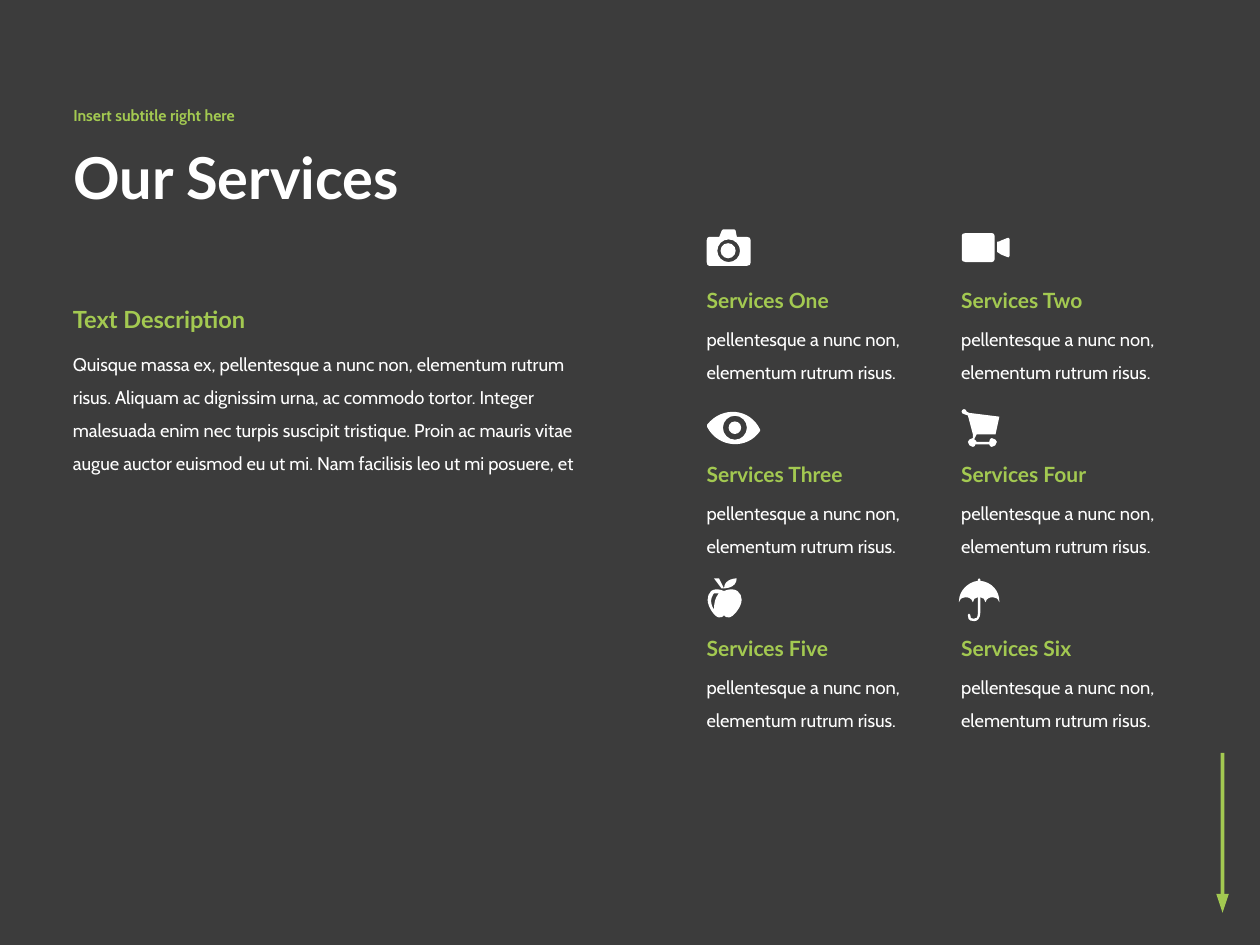
"""Build the Our Services slide with six icon-led services and a down arrow."""
import lxml.etree
import pptx
import pptx.util
import pptx.dml.color
import pptx.enum.shapes
import pptx.enum.text
import pptx.oxml.ns

Pt = pptx.util.Pt
RGBColor = pptx.dml.color.RGBColor
Shape = pptx.enum.shapes.MSO_SHAPE
Anchor = pptx.enum.text.MSO_ANCHOR
AutoSize = pptx.enum.text.MSO_AUTO_SIZE
qn = pptx.oxml.ns.qn

CHARCOAL = RGBColor(0x3C, 0x3C, 0x3C)
GREEN = RGBColor(0xA3, 0xC9, 0x51)
WHITE = RGBColor(0xFF, 0xFF, 0xFF)

TITLE = "Our Services"
SUBTITLE = "Insert subtitle right here"
HEADING = "Text Description"
DESCRIPTION = (
    "Quisque massa ex, pellentesque a nunc non, elementum rutrum risus. "
    "Aliquam ac dignissim urna, ac commodo tortor. Integer malesuada enim nec "
    "turpis suscipit tristique. Proin ac mauris vitae augue auctor euismod eu "
    "ut mi. Nam facilisis leo ut mi posuere, et"
)
SERVICE_TEXT = "pellentesque a nunc non, elementum rutrum risus."

ICON_UNIT = 0.72
PATH_SCALE = 100
KAPPA = 0.55


def circle(x, y, r):
    """Return a closed contour of four cubic arcs."""
    k = KAPPA * r
    return [
        (x + r, y),
        (x + r, y + k, x + k, y + r, x, y + r),
        (x - k, y + r, x - r, y + k, x - r, y),
        (x - r, y - k, x - k, y - r, x, y - r),
        (x + k, y - r, x + r, y - k, x + r, y),
    ]


CAMERA = (0, 0, 35, 29), [
    [(32, 6), (24, 6), (23, 1), (23, 0, 23, 0, 22, 0), (13, 0),
     (12, 0, 12, 0, 12, 1), (10, 6), (2, 6), (1, 6, 0, 7, 0, 9), (0, 26),
     (0, 28, 1, 29, 2, 29), (32, 29), (34, 29, 35, 28, 35, 26), (35, 9),
     (35, 7, 34, 6, 32, 6)],
    circle(17.5, 17, 9),
]
VIDEO_BODY = (0, 0, 26, 23), [
    [(24, 0), (3, 0), (1, 0, 0, 1, 0, 2), (0, 21), (0, 22, 1, 23, 3, 23),
     (24, 23), (25, 23, 26, 22, 26, 21), (26, 2), (26, 1, 25, 0, 24, 0)],
]
VIDEO_LENS = (28, 3, 10, 17), [
    [(36, 4), (31, 6), (31, 6, 30, 7, 28, 7), (28, 15),
     (30, 16, 31, 17, 31, 17), (36, 19), (37, 20, 38, 19, 38, 18), (38, 5),
     (38, 4, 37, 3, 36, 4)],
]
EYE = (0, 0, 42, 34), [
    [(0, 15), (0, 17), (9, 34, 32, 35, 42, 20), (42, 19), (34, 2, 12, 0, 0, 15)],
    circle(22, 17.5, 9.5),
]
CART = (0, 0, 30, 30), [
    [(24, 23), (23, 23, 22, 24, 22, 26), (12, 26), (11, 25, 11, 24, 10, 24),
     (12, 20), (27, 20), (30, 6), (6, 3), (4, 2), (4, 1, 3, 0, 2, 0),
     (1, 0, 0, 1, 0, 2), (0, 3, 1, 4, 2, 4), (5, 5), (9, 20), (9, 23),
     (7, 23, 5, 25, 5, 26), (5, 28, 7, 30, 9, 30), (10, 30, 11, 29, 11, 28),
     (22, 28), (22, 29, 23, 30, 24, 30), (26, 30, 28, 28, 28, 26),
     (28, 25, 26, 23, 24, 23)],
]
APPLE_BODY = (0, 6, 27, 25), [
    [(13, 10), (3, 6, 0, 12, 0, 17), (0, 23, 6, 31, 9, 31),
     (13, 31, 13, 29, 13, 29), (13, 29, 13, 31, 17, 31),
     (20, 31, 27, 23, 27, 17), (27, 12, 23, 6, 13, 10)],
    [(5, 25), (0, 17, 5, 12, 5, 12), (9, 12), (9, 12, 5, 15, 5, 25)],
]
APPLE_STEM = (5, 0, 8, 8), [[(13, 8), (11, 4, 9, 0, 9, 0), (5, 0), (11, 8)]]
APPLE_LEAF = (13, 0, 10, 8), [[(23, 0), (23, 0, 13, 0, 13, 8), (13, 8, 23, 8, 23, 0)]]
UMBRELLA = (0, 0, 32, 34), [
    [(17, 2), (17, 1), (17, 1, 17, 0, 16, 0), (16, 0, 15, 1, 15, 1), (15, 2),
     (7, 3, 0, 10, 0, 18), (0, 19), (1, 16, 3, 15, 5, 15),
     (8, 15, 10, 16, 11, 19), (11, 17, 13, 15, 15, 15), (15, 26),
     (15, 32, 14, 32, 12, 32), (9, 32, 9, 31, 9, 29), (9, 28, 8, 28, 8, 28),
     (7, 28, 7, 28, 7, 29), (7, 31, 7, 34, 12, 34), (14, 34, 17, 33, 17, 26),
     (17, 15), (19, 15, 21, 17, 21, 19), (22, 16, 24, 15, 27, 15),
     (29, 15, 31, 16, 32, 19), (32, 18), (32, 10, 26, 3, 17, 2)],
]

SERVICES = [
    ("Services One", (403.8, 131.04), [CAMERA], (17, 17, 6)),
    ("Services Two", (549.6, 133.2), [VIDEO_BODY, VIDEO_LENS], None),
    ("Services Three", (404.1, 231.84), [EYE], (22, 17.5, 5)),
    ("Services Four", (549.5, 233.8), [CART], None),
    ("Services Five", (404.4, 330.48), [APPLE_BODY, APPLE_STEM, APPLE_LEAF], None),
    ("Services Six", (548, 330.48), [UMBRELLA], None),
]
COLUMNS = 2
GRID_LEFT, GRID_TOP = 396.72, 160.9
COLUMN_PITCH, ROW_PITCH = 145.44, 99.3
BODY_OFFSET = 16.9
MARGIN = 34.6


def paint(shape, color):
    shape.fill.solid()
    shape.fill.fore_color.rgb = color
    shape.line.fill.background()
    shape.shadow.inherit = False


def add_preset(slide, kind, bounds, color):
    shape = slide.shapes.add_shape(kind, *map(Pt, bounds))
    paint(shape, color)
    return shape


def add_text(slide, text, bounds, font, size, color, bold=False, spacing=1, middle=False):
    box = slide.shapes.add_textbox(*map(Pt, bounds))
    frame = box.text_frame
    frame.word_wrap = True
    if middle:
        frame.vertical_anchor = Anchor.MIDDLE
    else:
        frame.auto_size = AutoSize.SHAPE_TO_FIT_TEXT
    para = frame.paragraphs[0]
    para.line_spacing = spacing
    span = para.add_run()
    span.text = text
    span.font.name = font
    span.font.size = Pt(size)
    span.font.bold = bold
    span.font.color.rgb = color


def add_outline(slide, outline, origin):
    (x, y, width, height), contours = outline
    left, top = (Pt(o + ICON_UNIT * v) for o, v in zip(origin, (x, y)))
    right, bottom = left + Pt(ICON_UNIT * width), top + Pt(ICON_UNIT * height)
    builder = slide.shapes.build_freeform(left, top)
    builder.add_line_segments([(right, top), (right, bottom), (left, bottom)])
    shape = builder.convert_to_shape()
    paint(shape, WHITE)
    track = next(shape.element.iter(qn("a:path")))
    for step in list(track):
        track.remove(step)
    track.set("w", str(width * PATH_SCALE))
    track.set("h", str(height * PATH_SCALE))
    for contour in contours:
        for index, segment in enumerate(contour):
            tag = "a:cubicBezTo" if len(segment) == 6 else "a:lnTo" if index else "a:moveTo"
            step = lxml.etree.SubElement(track, qn(tag))
            for px, py in zip(segment[::2], segment[1::2]):
                point = lxml.etree.SubElement(step, qn("a:pt"))
                point.set("x", str(round((px - x) * PATH_SCALE)))
                point.set("y", str(round((py - y) * PATH_SCALE)))
        lxml.etree.SubElement(track, qn("a:close"))


def add_service(slide, index, name, origin, outlines, disc):
    row, column = divmod(index, COLUMNS)
    left = GRID_LEFT + column * COLUMN_PITCH
    top = GRID_TOP + row * ROW_PITCH
    for outline in outlines:
        add_outline(slide, outline, origin)
    if disc:
        x, y, r = (ICON_UNIT * value for value in disc)
        add_preset(slide, Shape.OVAL, (origin[0] + x - r, origin[1] + y - r, 2 * r, 2 * r), WHITE)
    add_text(slide, SERVICE_TEXT, (left, top + BODY_OFFSET, 138.96, 43.2),
             "Cabin", 10.5, WHITE, spacing=1.5)
    add_text(slide, name, (left, top, 116.64, 21.6), "Lato", 12, GREEN, bold=True)


def main():
    deck = pptx.Presentation()
    deck.slide_width, deck.slide_height = Pt(720), Pt(540)
    slide = deck.slides.add_slide(deck.slide_layouts[6])
    slide.background.fill.solid()
    slide.background.fill.fore_color.rgb = CHARCOAL
    add_preset(slide, Shape.RECTANGLE, (697.5, 430.2, 2.16, 80.64), GREEN)
    head = add_preset(slide, Shape.ISOSCELES_TRIANGLE, (695, 510.8, 7.2, 10.8), GREEN)
    head.rotation = 180
    add_text(slide, TITLE, (MARGIN + 0.2, 66.24, 405.36, 74.16), "Lato", 33, WHITE,
             bold=True, spacing=0.9, middle=True)
    add_text(slide, SUBTITLE, (MARGIN + 0.2, 52.56, 405.36, 27.36), "Cabin", 9, GREEN,
             bold=True, spacing=0.9, middle=True)
    add_text(slide, DESCRIPTION, (MARGIN, 192, 305.28, 81.36), "Cabin", 10.5,
             WHITE, spacing=1.5)
    add_text(slide, HEADING, (MARGIN, 170.64, 157.68, 23.76), "Lato", 13.5, GREEN, bold=True)
    for index, service in enumerate(SERVICES):
        add_service(slide, index, *service)
    deck.save("out.pptx")


if __name__ == "__main__":
    main()
